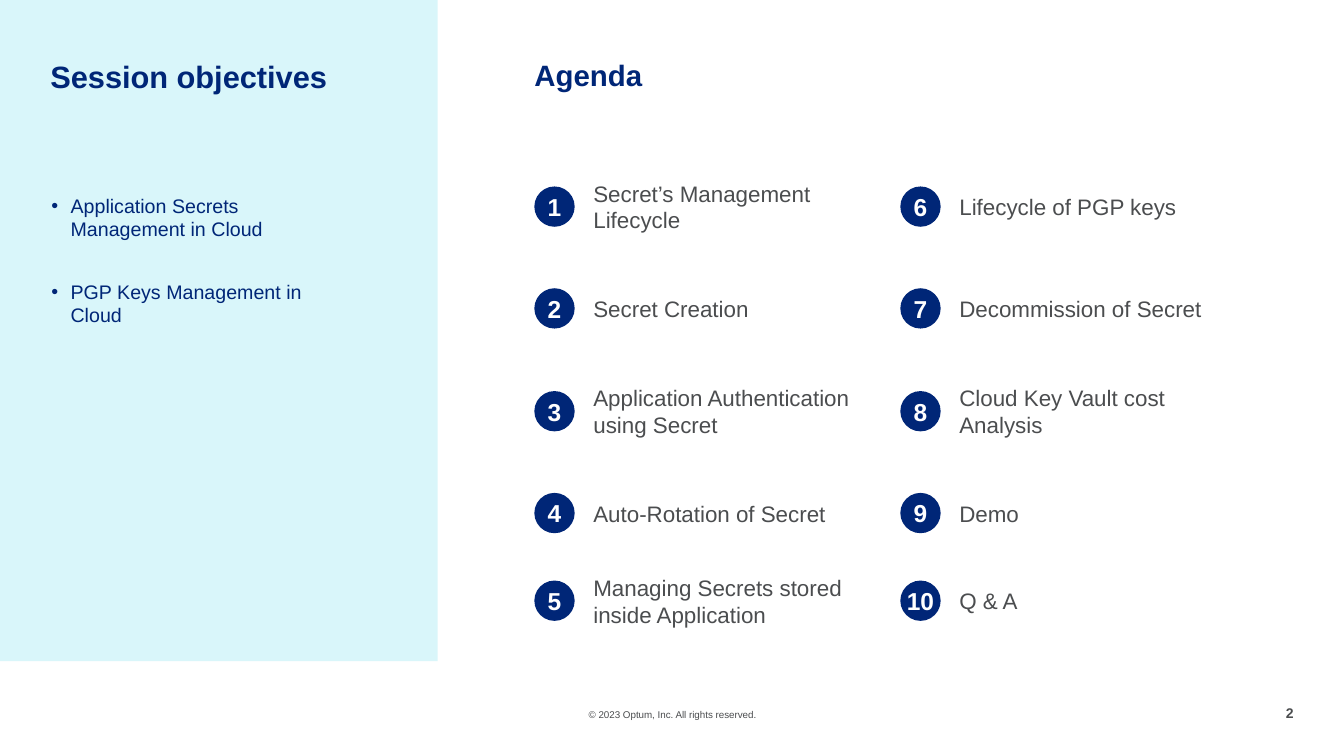
from lxml import etree
from pptx import Presentation
from pptx.dml.color import RGBColor
from pptx.enum.shapes import MSO_SHAPE
from pptx.enum.text import MSO_ANCHOR, PP_ALIGN
from pptx.oxml.ns import qn
from pptx.util import Inches, Pt

NAVY = RGBColor(0x00, 0x26, 0x77)
GRAY = RGBColor(0x4B, 0x4D, 0x4F)
AQUA = RGBColor(0xD9, 0xF6, 0xFA)
WHITE = RGBColor(0xFF, 0xFF, 0xFF)
RECT = MSO_SHAPE.RECTANGLE
OVAL = MSO_SHAPE.OVAL
LEFT, CENTER, RIGHT = PP_ALIGN.LEFT, PP_ALIGN.CENTER, PP_ALIGN.RIGHT
TOP, MIDDLE = MSO_ANCHOR.TOP, MSO_ANCHOR.MIDDLE

OBJECTIVES = ["Application Secrets Management in Cloud",
              "PGP Keys Management in Cloud"]
AGENDA_COLUMNS = [
    ["Secret’s Management Lifecycle", "Secret Creation",
     "Application Authentication using Secret", "Auto-Rotation of Secret",
     "Managing Secrets stored inside Application"],
    ["Lifecycle of PGP keys", "Decommission of Secret",
     "Cloud Key Vault cost Analysis", "Demo", "Q & A"],
]
COLUMN_LEFTS = [5.3, 8.93]
ROW_CENTERS = [2.05, 3.06, 4.08, 5.09, 5.96]
BADGE = 0.4
LABEL_OFFSET = 0.585
LABEL_HEIGHT = 0.54


def write(tf, lines, size=16, color=GRAY, bold=False, align=LEFT, anchor=TOP,
          spacing=None, bullet=False, gap=0, wrap=True, font="Arial"):
    tf.word_wrap = wrap
    tf.vertical_anchor = anchor
    tf.margin_left = tf.margin_right = tf.margin_top = tf.margin_bottom = 0
    for i, line in enumerate(lines):
        p = tf.add_paragraph() if i else tf.paragraphs[0]
        p.alignment = align
        if spacing:
            p.line_spacing = spacing
        if i and gap:
            p.space_before = Pt(gap)
        if bullet:
            pPr = p._p.get_or_add_pPr()
            pPr.set("marL", str(Inches(0.19)))
            pPr.set("indent", str(-Inches(0.19)))
            etree.SubElement(pPr, qn("a:buFont")).set("typeface", "Arial")
            etree.SubElement(pPr, qn("a:buChar")).set("char", "•")
        r = p.add_run()
        r.text = line
        r.font.name = font
        r.font.size = Pt(size)
        r.font.bold = bold
        r.font.color.rgb = color


class SlideBuilder:
    def __init__(self, slide, accent=NAVY):
        self.s = slide
        self.accent = accent

    def shape(self, kind, x, y, w, h, fill):
        sp = self.s.shapes.add_shape(kind, Inches(x), Inches(y), Inches(w), Inches(h))
        sp.shadow.inherit = False
        sp.fill.solid()
        sp.fill.fore_color.rgb = fill
        sp.line.fill.background()
        return sp

    def text(self, x, y, w, h, *lines, **fmt):
        sp = self.s.shapes.add_textbox(Inches(x), Inches(y), Inches(w), Inches(h))
        write(sp.text_frame, lines, **fmt)

    def heading(self, x, y, w, h, text, size):
        self.text(x, y, w, h, text, size=size, color=self.accent, bold=True, spacing=0.9)

    def agenda_item(self, x, center, number, label):
        sp = self.shape(OVAL, x, center - BADGE / 2, BADGE, BADGE, self.accent)
        write(sp.text_frame, [str(number)], size=17.5, color=WHITE, bold=True,
              align=CENTER, anchor=MIDDLE, wrap=False)
        self.text(x + LABEL_OFFSET, center - LABEL_HEIGHT / 2, 2.72, LABEL_HEIGHT,
                  label, anchor=MIDDLE)


def main():
    prs = Presentation()
    prs.slide_width, prs.slide_height = Inches(13.33), Inches(7.5)
    b = SlideBuilder(prs.slides.add_slide(prs.slide_layouts[6]))

    b.text(5.14, 7.03, 3.06, 0.12, "© 2023 Optum, Inc. All rights reserved.",
           size=7, align=CENTER)
    b.text(12.66, 6.99, 0.17, 0.17, "2", size=10, bold=True, align=RIGHT)

    b.shape(RECT, 0, 0, 4.34, 6.56, AQUA)
    b.heading(0.5, 0.61, 3.5, 0.33, "Session objectives", 22)
    b.text(0.51, 1.92, 3.01, 1.35, *OBJECTIVES, size=14, color=NAVY,
           bullet=True, gap=28)

    b.heading(5.3, 0.61, 3.26, 0.32, "Agenda", 21)
    number = 0
    for x, labels in zip(COLUMN_LEFTS, AGENDA_COLUMNS):
        for center, label in zip(ROW_CENTERS, labels):
            number += 1
            b.agenda_item(x, center, number, label)

    prs.save("out.pptx")


if __name__ == "__main__":
    main()
